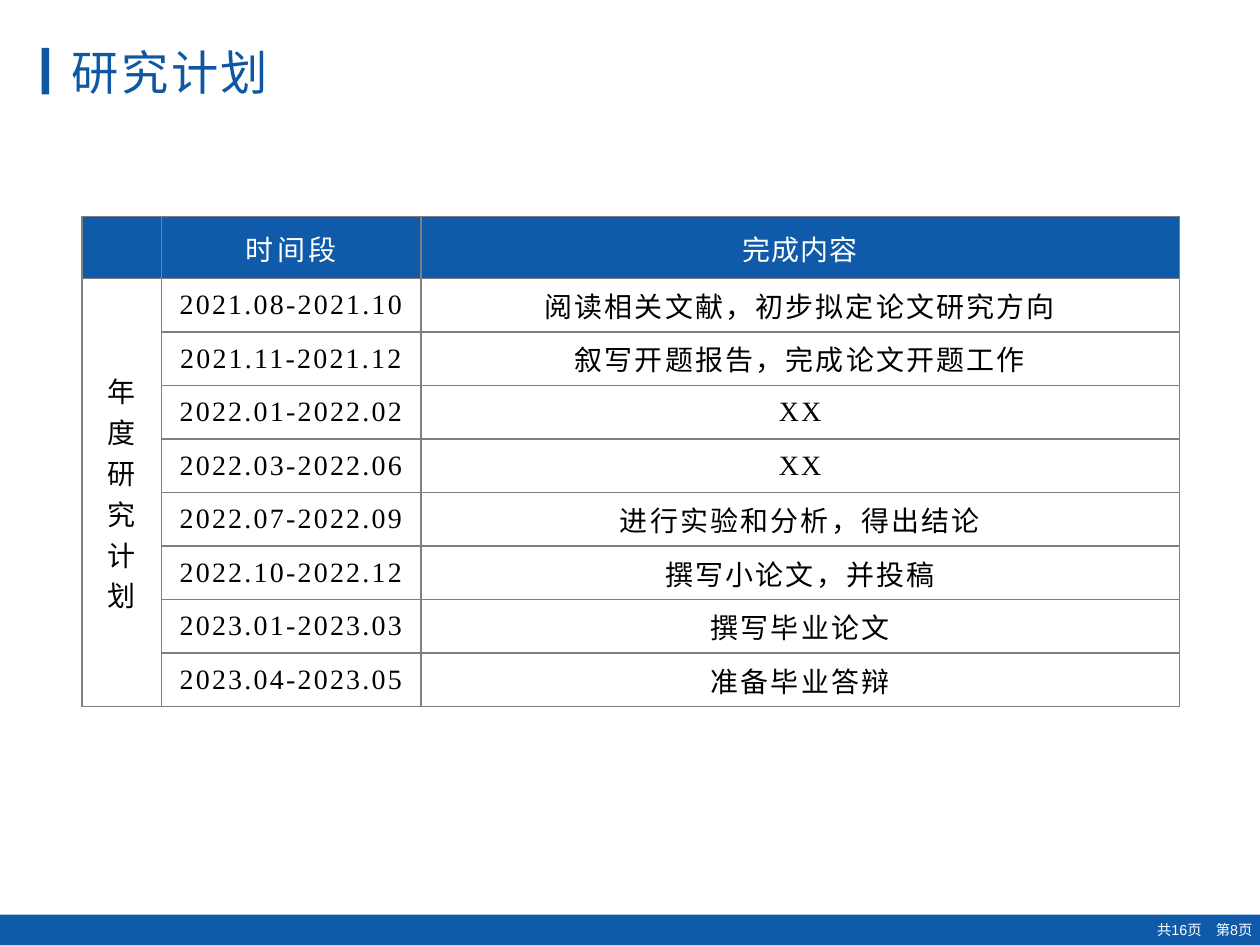
from lxml import etree
from pptx import Presentation
from pptx import util as u
from pptx.dml.color import RGBColor
from pptx.enum import lang, shapes, text
from pptx.oxml.ns import qn

WIDTH, HEIGHT = 10, 7.5
BLUE, TITLE_BLUE, GREY = "0F5BA9", "0E57A2", "7F7F7F"
CHINESE_FONT = "Noto Sans CJK JP"

COLUMNS = [0.63, 2.06, 6.02]
HEADER_HEIGHT, ROW_HEIGHT = 0.49, 0.425
HEADINGS = ["", "时间段", "完成内容"]
PLAN_NAME = "年度研究计划"
PLAN = [
    ("2021.08-2021.10", "阅读相关文献，初步拟定论文研究方向"),
    ("2021.11-2021.12", "叙写开题报告，完成论文开题工作"),
    ("2022.01-2022.02", "XX"),
    ("2022.03-2022.06", "XX"),
    ("2022.07-2022.09", "进行实验和分析，得出结论"),
    ("2022.10-2022.12", "撰写小论文，并投稿"),
    ("2023.01-2023.03", "撰写毕业论文"),
    ("2023.04-2023.05", "准备毕业答辩"),
]


def paint(fill, color):
    fill.solid()
    fill.fore_color.rgb = RGBColor.from_string(color)


def write(frame, lines, size=16, font="Times New Roman", color="000000",
          align=text.PP_ALIGN.CENTER, spacing=0, before=0):
    """Fill a text frame with one paragraph per line."""
    for index, line in enumerate(lines):
        para = frame.add_paragraph() if index else frame.paragraphs[0]
        para.alignment = align
        para.space_before = u.Pt(before)
        span = para.add_run()
        span.text = line
        span.font.size = u.Pt(size)
        span.font.name = font
        span.font.language_id = lang.MSO_LANGUAGE_ID.SIMPLIFIED_CHINESE
        paint(span.font.fill, color)
        properties = span.font._element
        properties.set("spc", str(round(spacing * 100)))
        etree.SubElement(properties, qn("a:ea"), typeface=CHINESE_FONT)


def set_margins(target, left=0, top=0, right=0, bottom=0):
    target.margin_left, target.margin_top = u.Inches(left), u.Inches(top)
    target.margin_right, target.margin_bottom = u.Inches(right), u.Inches(bottom)


def add_bar(page, box, color):
    bar = page.shapes.add_shape(shapes.MSO_SHAPE.RECTANGLE, *map(u.Inches, box))
    bar.shadow.inherit = False
    paint(bar.fill, color)
    bar.line.fill.background()
    return bar


def border_cell(cell, color, width=1):
    properties = cell._tc.get_or_add_tcPr()
    for index, side in enumerate(("a:lnL", "a:lnR", "a:lnT", "a:lnB")):
        line = etree.Element(qn(side), w=str(u.Pt(width)))
        fill = etree.SubElement(line, qn("a:solidFill"))
        etree.SubElement(fill, qn("a:srgbClr"), val=color)
        properties.insert(index, line)


def add_heading(page, box):
    left, top, width, height = box
    # Accent bar
    add_bar(page, (left, top + 0.05, 0.06, 0.37), TITLE_BLUE)
    # Title
    title = page.shapes.title
    title.left, title.top = u.Inches(left + 0.23), u.Inches(top)
    title.width, title.height = u.Inches(width - 0.23), u.Inches(height)
    frame = title.text_frame
    frame.auto_size = text.MSO_AUTO_SIZE.NONE
    frame.vertical_anchor = text.MSO_ANCHOR.TOP
    set_margins(frame, left=0.01, top=0.01)
    write(frame, ["研究计划"], size=27, font="Arial", color=TITLE_BLUE,
          align=text.PP_ALIGN.LEFT, spacing=1.4, before=1.1)


def add_plan_table(page, box):
    table = page.shapes.add_table(
        len(PLAN) + 1, len(COLUMNS), *map(u.Inches, box)).table
    table.horz_banding = False
    for column, width in zip(table.columns, COLUMNS):
        column.width = u.Inches(width)
    for index, row in enumerate(table.rows):
        row.height = u.Inches(ROW_HEIGHT if index else HEADER_HEIGHT)
    for cell in table.iter_cells():
        set_margins(cell)
        cell.vertical_anchor = text.MSO_ANCHOR.MIDDLE
        paint(cell.fill, "FFFFFF")
        border_cell(cell, GREY)
    # Header row
    for column, heading in enumerate(HEADINGS):
        cell = table.cell(0, column)
        paint(cell.fill, BLUE)
        if heading:
            cell.vertical_anchor = text.MSO_ANCHOR.TOP
            set_margins(cell, top=0.09)
            write(cell.text_frame, [heading], font=CHINESE_FONT, color="FFFFFF",
                  spacing=1.8 if column == 1 else 0.6, before=14.2)
    # Plan name, one character a line
    name = table.cell(1, 0)
    name.merge(table.cell(len(PLAN), 0))
    write(name.text_frame, PLAN_NAME, spacing=1.3, before=0.3)
    # Periods and tasks
    for row, entry in enumerate(PLAN, 1):
        for column, value in enumerate(entry, 1):
            write(table.cell(row, column).text_frame, [value], spacing=1.3)


def add_footer(page, box):
    frame = add_bar(page, box, BLUE).text_frame
    frame.vertical_anchor = text.MSO_ANCHOR.MIDDLE
    set_margins(frame, right=0.06)
    write(frame, ["共16页\u2003第8页"], size=8.2, font="Arial", color="FFFFFF",
          align=text.PP_ALIGN.RIGHT)


deck = Presentation()
deck.slide_width, deck.slide_height = u.Inches(WIDTH), u.Inches(HEIGHT)
page = deck.slides.add_slide(deck.slide_layouts.get_by_name("Title Only"))
add_heading(page, (0.33, 0.33, 5.93, 0.46))
add_plan_table(page, (0.65, 1.72, sum(COLUMNS),
                      HEADER_HEIGHT + ROW_HEIGHT * len(PLAN)))
add_footer(page, (0, HEIGHT - 0.24, WIDTH, 0.24))
deck.save("out.pptx")
